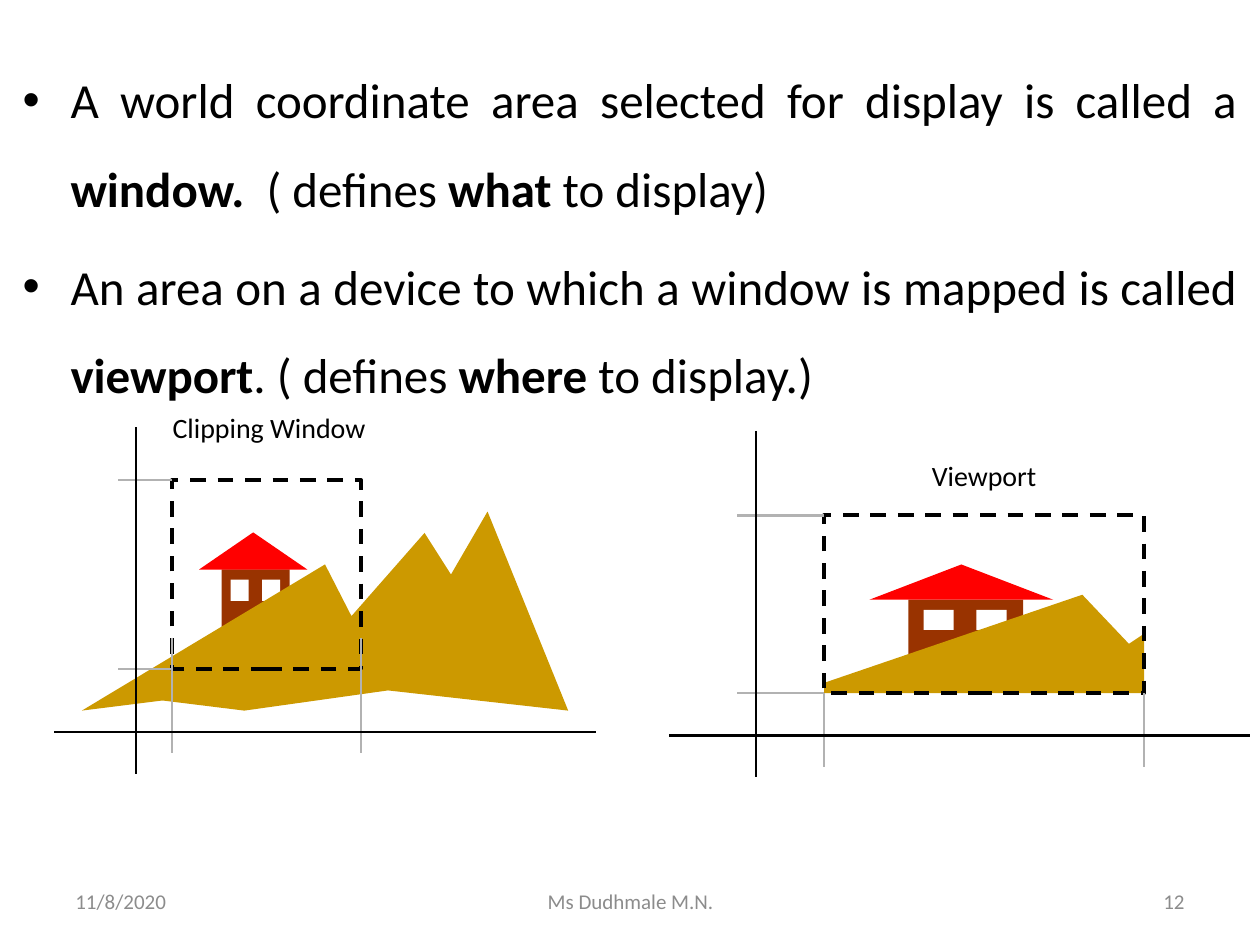
"""Builds the slide that sets a clipping window beside its viewport."""
from dataclasses import dataclass
from typing import NamedTuple

import lxml.etree
import pptx
import pptx.dml.color
import pptx.enum.dml
import pptx.enum.shapes
import pptx.enum.text
import pptx.oxml.ns
import pptx.util

WIDE, HIGH = pptx.util.Inches(10), pptx.util.Inches(7.5)
COLS, ROWS = 100, 75
FONT = "Calibri"
BLACK, WHITE, GREY, PALE = "000000", "FFFFFF", "8C8C8C", "B2B2B2"
BROWN, RED, GOLD = "993300", "FF0000", "CC9900"
SHAPE = pptx.enum.shapes.MSO_SHAPE
ALIGN = pptx.enum.text.PP_ALIGN
ANCHOR = pptx.enum.text.MSO_ANCHOR


class Box(NamedTuple):
    left: float
    top: float
    wide: float
    high: float


class Run(NamedTuple):
    text: str
    bold: bool = False


class Note(NamedTuple):
    text: str
    box: Box
    align: ALIGN


@dataclass
class Scene:
    wall: Box
    roof: Box
    panes: list[Box]
    hill: list[tuple[float, float]]
    frame: Box
    tick: float
    drop: tuple[float, float]
    axes: list[tuple[float, float, float, float]]
    label: Note


POINTS = [
    [Run("A world coordinate area selected for display is called a "),
     Run("window.  ", True), Run("( defines "), Run("what", True),
     Run(" to display)")],
    [Run("An area on a device to which a window is mapped is called "),
     Run("viewport", True), Run(". ( defines "), Run("where", True),
     Run(" to display.)")],
]

SCENES = [
    Scene(
        wall=Box(17.6, 45.2, 5.4, 4.6), roof=Box(15.8, 42.25, 8.6, 2.95),
        panes=[Box(x, 46, 1.45, 1.7) for x in (18.3, 20.8)],
        hill=[(6.5, 56.4), (25.8, 44.8), (27.9, 48.9), (33.7, 42.3),
              (35.8, 45.6), (38.7, 40.6), (45.1, 56.4), (30.8, 54.8),
              (19.4, 56.4), (12.9, 55.6)],
        frame=Box(13.65, 38.1, 15, 15), tick=9.4, drop=(50.6, 59.8),
        axes=[(10.8, 33.9, 10.8, 61.4), (4.3, 58.1, 47.3, 58.1)],
        label=Note("Clipping Window", Box(12.4, 32.1, 17.9, 3.7), ALIGN.CENTER),
    ),
    Scene(
        wall=Box(72.1, 47.6, 9.1, 4.4), roof=Box(69, 44.8, 14.6, 2.8),
        panes=[Box(x, 48.4, 2.4, 1.6) for x in (73.3, 77.5)],
        hill=[(65.4, 54.2), (85.9, 47.2), (89.6, 51.1), (90.8, 50.3),
              (90.8, 55), (65.4, 55)],
        frame=Box(65.4, 40.9, 25.4, 14.1), tick=58.5, drop=(55, 60.9),
        axes=[(60, 34.2, 60, 61.7), (53.1, 58.4, 99.2, 58.4)],
        label=Note("Viewport", Box(68.5, 35.9, 19.2, 3.7), ALIGN.CENTER),
    ),
]

FOOT = [
    Note("11/8/2020", Box(5, 69.5, 23.3, 4), ALIGN.LEFT),
    Note("Ms Dudhmale M.N.", Box(34.2, 69.5, 31.7, 4), ALIGN.CENTER),
    Note("12", Box(71.7, 69.5, 23.3, 4), ALIGN.RIGHT),
]


def across(cols: float) -> int:
    """Turns grid columns into a length."""
    return round(WIDE * cols / COLS)


def down(rows: float) -> int:
    """Turns grid rows into a length."""
    return round(HIGH * rows / ROWS)


def place(box: Box) -> tuple[int, int, int, int]:
    """Gives the left, top, width and height of a box."""
    return across(box.left), down(box.top), across(box.wide), down(box.high)


def tint(code: str) -> pptx.dml.color.RGBColor:
    """Turns a hex string into a colour."""
    return pptx.dml.color.RGBColor.from_string(code)


def paint(shape, code: str) -> None:
    """Fills a shape flat, with no outline and no shadow."""
    shape.shadow.inherit = False
    shape.fill.solid()
    shape.fill.fore_color.rgb = tint(code)
    shape.line.fill.background()


def block(group, kind: SHAPE, box: Box, code: str) -> None:
    """Adds a filled preset shape."""
    paint(group.shapes.add_shape(kind, *place(box)), code)


def slope(group, spots: list[tuple[float, float]], code: str) -> None:
    """Adds a filled closed outline."""
    dots = [(across(x), down(y)) for x, y in spots]
    pen = group.shapes.build_freeform(*dots[0])
    pen.add_line_segments(dots[1:], close=True)
    paint(pen.convert_to_shape(), code)


def dashes(group, box: Box) -> None:
    """Adds a dashed frame with no fill."""
    shape = group.shapes.add_shape(SHAPE.RECTANGLE, *place(box))
    shape.shadow.inherit = False
    shape.fill.background()
    shape.line.color.rgb = tint(BLACK)
    shape.line.width = pptx.util.Pt(2.25)
    shape.line.dash_style = pptx.enum.dml.MSO_LINE.DASH


def rule(group, x1: float, y1: float, x2: float, y2: float, code: str) -> None:
    """Adds a straight line between two grid points."""
    line = group.shapes.add_connector(
        pptx.enum.shapes.MSO_CONNECTOR.STRAIGHT,
        across(x1), down(y1), across(x2), down(y2))
    line.line.color.rgb = tint(code)
    line.line.width = pptx.util.Pt(1.5)
    lxml.etree.SubElement(
        line._element.spPr, pptx.oxml.ns.qn("a:effectLst"))


def write(para, run: Run, size: float, code: str) -> None:
    """Adds one run to a paragraph."""
    part = para.add_run()
    part.text = run.text
    part.font.name = FONT
    part.font.size = pptx.util.Pt(size)
    part.font.bold = run.bold
    part.font.color.rgb = tint(code)


def jot(holder, note: Note, size: float, code: str, anchor: ANCHOR) -> None:
    """Adds a text box with one line of text."""
    frame = holder.shapes.add_textbox(*place(note.box)).text_frame
    frame.word_wrap = True
    frame.vertical_anchor = anchor
    para = frame.paragraphs[0]
    para.alignment = note.align
    write(para, Run(note.text), size, code)


def list_points(body) -> None:
    """Fills the body with its bulleted points."""
    body.left, body.top, body.width, body.height = place(
        Box(0.8, 2.7, 98.4, 67.5))
    frame = body.text_frame
    frame.auto_size = pptx.enum.text.MSO_AUTO_SIZE.NONE
    for turn, runs in enumerate(POINTS):
        para = frame.add_paragraph() if turn else frame.paragraphs[0]
        props = para._p.get_or_add_pPr()
        indent = pptx.util.Inches(0.38)
        props.set("marL", str(indent))
        props.set("indent", str(-indent))
        lxml.etree.SubElement(
            props, pptx.oxml.ns.qn("a:buChar")).set("char", "•")
        para.alignment = ALIGN.JUSTIFY
        para.line_spacing = 1.5
        para.space_before = pptx.util.Pt(5.6 if turn else 0)
        for run in runs:
            write(para, run, 28, BLACK)


def draw(slide, scene: Scene) -> None:
    """Draws one scene as a group."""
    group = slide.shapes.add_group_shape()
    block(group, SHAPE.RECTANGLE, scene.wall, BROWN)
    block(group, SHAPE.ISOSCELES_TRIANGLE, scene.roof, RED)
    for pane in scene.panes:
        block(group, SHAPE.RECTANGLE, pane, WHITE)
    slope(group, scene.hill, GOLD)
    dashes(group, scene.frame)
    left, top, wide, high = scene.frame
    for x in (left, left + wide):
        rule(group, x, scene.drop[0], x, scene.drop[1], PALE)
    for y in (top, top + high):
        rule(group, left, y, scene.tick, y, PALE)
    for ends in scene.axes:
        rule(group, *ends, BLACK)
    jot(group, scene.label, 16, BLACK, ANCHOR.TOP)


def main() -> None:
    """Builds and saves the slide."""
    deck = pptx.Presentation()
    deck.slide_width, deck.slide_height = WIDE, HIGH
    slide = deck.slides.add_slide(deck.slide_layouts[1])
    title = slide.shapes.title._element
    title.getparent().remove(title)
    list_points(slide.placeholders[1])
    for scene in SCENES:
        draw(slide, scene)
    for note in FOOT:
        jot(slide, note, 12, GREY, ANCHOR.MIDDLE)
    deck.save("out.pptx")


if __name__ == "__main__":
    main()
